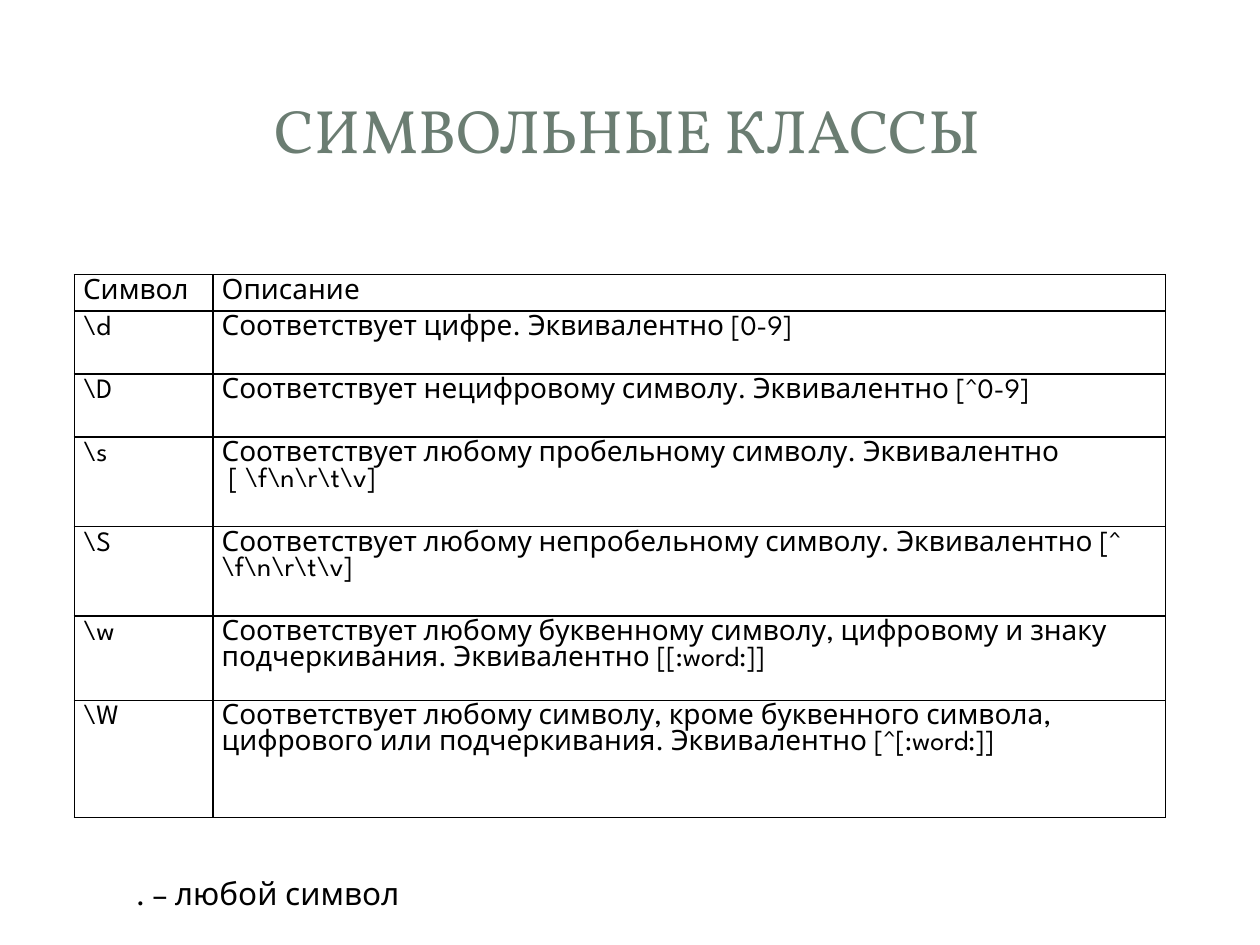
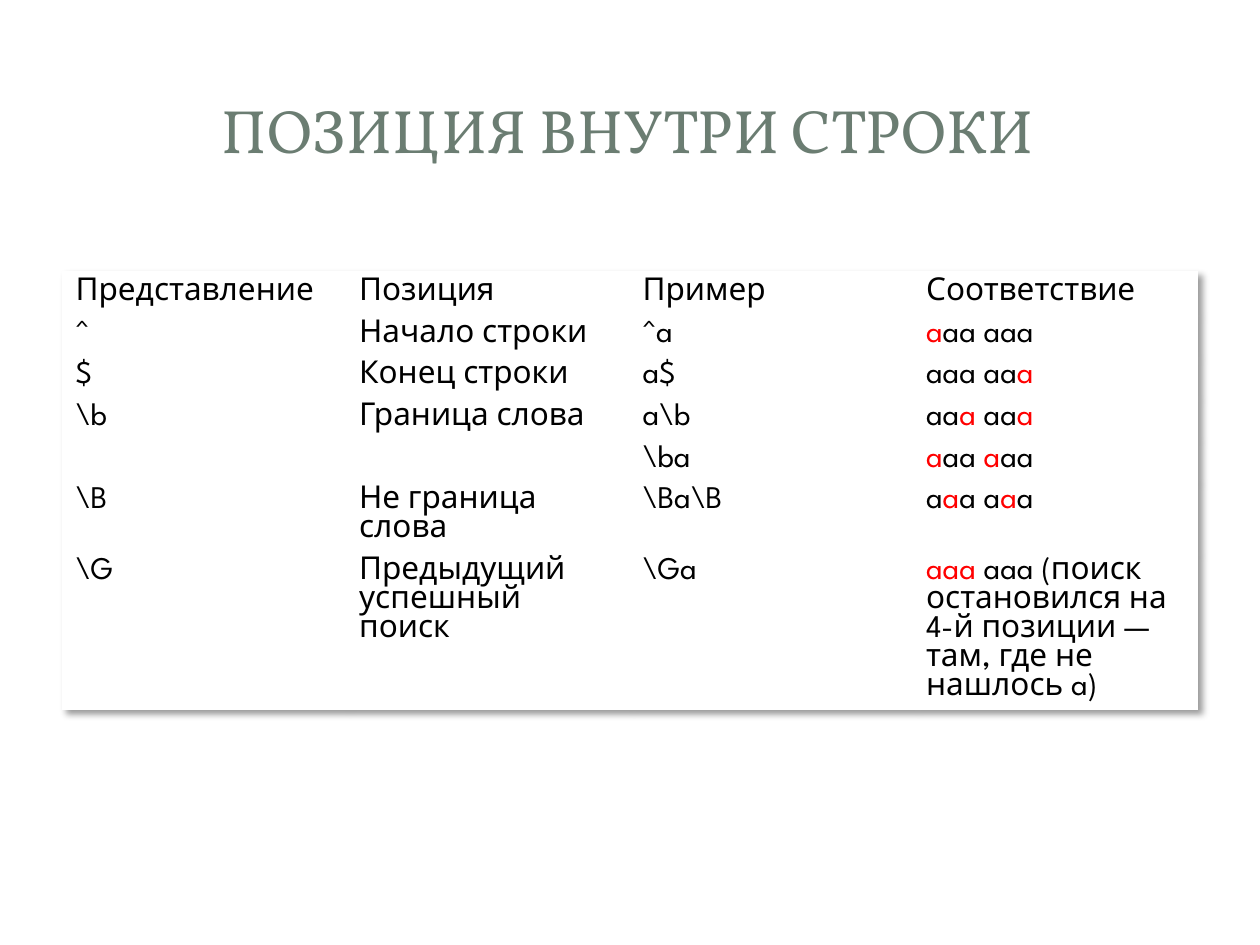
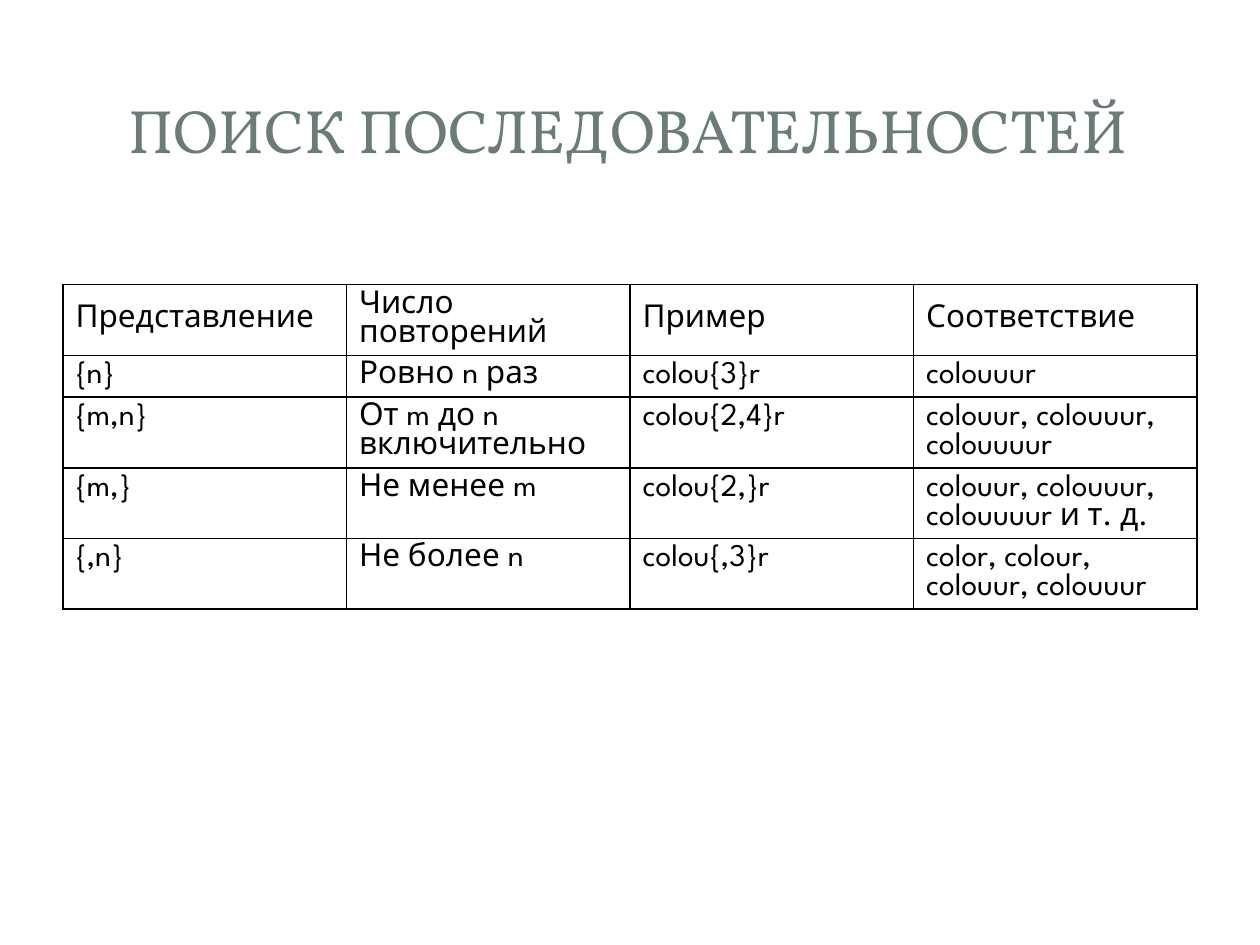
from dataclasses import dataclass
from typing import NamedTuple

from lxml.etree import SubElement
from pptx import Presentation
from pptx.dml.color import RGBColor
from pptx.enum.shapes import MSO_SHAPE
from pptx.enum.text import MSO_ANCHOR, PP_ALIGN
from pptx.oxml import parse_xml
from pptx.oxml.ns import nsdecls, qn
from pptx.util import Emu, Inches, Pt

UNIT = Inches(0.1)  # the slide is a grid of 100 columns by 75 rows
COLS, ROWS = 100, 75
WHITE, BLACK, RED, SAGE = "FFFFFF", "000000", "FF0000", "6B7D72"
HEAD, BODY = "Vollkorn", "League Spartan"


class Box(NamedTuple):
    col: float
    row: float
    wide: float
    high: float


class Band(NamedTuple):
    kind: MSO_SHAPE
    box: Box
    alpha: int = 100


@dataclass
class Grid:
    col: float
    row: float
    wides: list[float]
    highs: list[float]
    cells: list[list[str]]
    size: int = 18
    pad: tuple[float, float] = (1, 0.5)
    lined: bool = True
    shade: bool = False
    joins: tuple[tuple[int, int], ...] = ()  # cells joined with the one below


TITLE = Box(4.7, 4.5, 90.3, 11.4)
BANDS = [
    Band(MSO_SHAPE.ROUNDED_RECTANGLE, Box(1, 1.1, 98, 72.9)),
    Band(MSO_SHAPE.RECTANGLE, Box(3, 3, 94, 14.5), 83),
    Band(MSO_SHAPE.RECTANGLE, Box(4.1, 4.1, 91.7, 12.2)),
]


def span(units: float) -> Emu:
    return Emu(round(units * UNIT))


def paint(color, code: str) -> None:
    color.rgb = RGBColor.from_string(code)


def fill(item, code: str) -> None:
    item.fill.solid()
    paint(item.fill.fore_color, code)


def place(shape, box: Box) -> None:
    shape.left, shape.top, shape.width, shape.height = map(span, box)


def write(frame, text: str, size: int, font: str = BODY, code: str = BLACK,
          align: PP_ALIGN = PP_ALIGN.LEFT) -> None:
    """Each line is a paragraph; every second part between bars is red."""
    for num, line in enumerate(text.split("\n")):
        para = frame.add_paragraph() if num else frame.paragraphs[0]
        para.alignment = align
        for part, words in enumerate(line.split("|")):
            if words:
                run = para.add_run()
                run.text = words
                run.font.name, run.font.size = font, Pt(size)
                paint(run.font.color, RED if part % 2 else code)


def block(slide, kind: MSO_SHAPE, box: Box):
    shape = slide.shapes.add_shape(kind, *map(span, box))
    shape.shadow.inherit = False
    fill(shape, WHITE)
    shape.line.fill.background()
    return shape


def back(slide, layout) -> None:
    """Draw the shared bands and hand them over to the layout."""
    for num, band in enumerate(BANDS):
        shape = block(slide, band.kind, band.box)
        if band.kind == MSO_SHAPE.ROUNDED_RECTANGLE:
            shape.adjustments[0] = 0.02
        if band.alpha < 100:
            tint = shape.fill._xPr.find(".//" + qn("a:srgbClr"))
            SubElement(tint, qn("a:alpha"), val=str(band.alpha * 1000))
        layout.shapes._spTree.insert(2 + num, shape._element)


def edge(cell) -> None:
    props = cell._tc.get_or_add_tcPr()
    for num, side in enumerate("LRTB"):
        props.insert(num, parse_xml(
            f'<a:ln{side} {nsdecls("a")} w="{Pt(1)}"><a:solidFill>'
            f'<a:srgbClr val="{BLACK}"/></a:solidFill></a:ln{side}>'))


def cast(table) -> None:
    """Give the table a soft shadow."""
    table._tbl.tblPr.insert(0, parse_xml(
        f'<a:effectLst {nsdecls("a")}><a:outerShdw blurRad="{Pt(4)}" '
        f'dist="{Pt(3)}" dir="2700000" algn="tl" rotWithShape="0">'
        f'<a:srgbClr val="{BLACK}"><a:alpha val="40000"/></a:srgbClr>'
        '</a:outerShdw></a:effectLst>'))


def chart(slide, grid: Grid) -> None:
    """Draw a grid as a table."""
    box = Box(grid.col, grid.row, sum(grid.wides), sum(grid.highs))
    table = slide.shapes.add_table(
        len(grid.highs), len(grid.wides), *map(span, box)).table
    table.first_row = table.horz_banding = False
    for col, wide in zip(table.columns, grid.wides):
        col.width = span(wide)
    for row, high in zip(table.rows, grid.highs):
        row.height = span(high)
    for r, line in enumerate(grid.cells):
        for c, text in enumerate(line):
            cell = table.cell(r, c)
            cell.margin_left = cell.margin_right = span(grid.pad[0])
            cell.margin_top = cell.margin_bottom = span(grid.pad[1])
            cell.vertical_anchor = MSO_ANCHOR.TOP if r else MSO_ANCHOR.MIDDLE
            fill(cell, WHITE)
            if grid.lined:
                edge(cell)
            write(cell.text_frame, text, grid.size)
    for r, c in grid.joins:
        table.cell(r, c).merge(table.cell(r + 1, c))
    if grid.shade:
        cast(table)


def note(slide, text: str, box: Box) -> None:
    frame = block(slide, MSO_SHAPE.RECTANGLE, box).text_frame
    frame.word_wrap = True
    frame.vertical_anchor = MSO_ANCHOR.TOP
    frame.margin_top = span(1.2)
    write(frame, text, 18)


def page(deck, title: str, grid: Grid):
    slide = deck.slides.add_slide(deck.slide_layouts[5])
    head = slide.shapes.title
    place(head, TITLE)
    head.text_frame.vertical_anchor = MSO_ANCHOR.MIDDLE
    write(head.text_frame, title, 35, HEAD, SAGE, PP_ALIGN.CENTER)
    chart(slide, grid)
    return slide


def lines(*counts: int) -> list[float]:
    """Row heights that hold the given counts of text lines."""
    return [1 + 2.3 * count for count in counts]


CLASSES = Grid(
    5.9, 21.8, [11, 75.6], [2.9, 5, 5, 7.1, 7.1, 6.7, 9.3],
    [
        ["Символ", "Описание"],
        [r"\d", "Соответствует цифре. Эквивалентно [0-9]"],
        [r"\D", "Соответствует нецифровому символу. Эквивалентно [^0-9]"],
        [r"\s", "Соответствует любому пробельному символу. Эквивалентно\n"
                r" [ \f\n\r\t\v]"],
        [r"\S", "Соответствует любому непробельному символу. "
                r"Эквивалентно [^ \f\n\r\t\v]"],
        [r"\w", "Соответствует любому буквенному символу, цифровому и знаку "
                "подчеркивания. Эквивалентно [[:word:]]"],
        [r"\W", "Соответствует любому символу, кроме буквенного символа, "
                "цифрового или подчеркивания. Эквивалентно [^[:word:]]"],
    ],
    size=16, pad=(0.7, 0.4))

PLACES = Grid(
    5, 21.6, [22.5] * 4, lines(1, 1, 1, 1, 1, 2, 5),
    [
        ["Представление", "Позиция", "Пример", "Соответствие"],
        ["^", "Начало строки", "^a", "|a|aa aaa"],
        ["$", "Конец строки", "a$", "aaa aa|a"],
        [r"\b", "Граница слова", r"a\b", "aa|a |aa|a"],
        ["", "", r"\ba", "|a|aa |a|aa"],
        [r"\B", "Не граница слова", r"\Ba\B", "a|a|a a|a|a"],
        [r"\G", "Предыдущий успешный поиск", r"\Ga",
         "|aaa| aaa (поиск остановился на 4-й позиции — там, "
         "где не нашлось a)"],
    ],
    lined=False, shade=True, joins=((3, 0), (3, 1)))

COUNTS = Grid(
    5, 22.6, [22.5] * 4, lines(2, 1, 2, 2, 2),
    [
        ["Представление", "Число повторений", "Пример", "Соответствие"],
        ["{n}", "Ровно n раз", "colou{3}r", "colouuur"],
        ["{m,n}", "От m до n включительно", "colou{2,4}r",
         "colouur, colouuur, colouuuur"],
        ["{m,}", "Не менее m", "colou{2,}r",
         "colouur, colouuur, colouuuur и т. д."],
        ["{,n}", "Не более n", "colou{,3}r",
         "color, colour, colouur, colouuur"],
    ])


def main() -> None:
    deck = Presentation()
    deck.slide_width, deck.slide_height = span(COLS), span(ROWS)
    first = page(deck, "СИМВОЛЬНЫЕ КЛАССЫ", CLASSES)
    back(first, deck.slide_layouts[5])
    note(first, ". – любой символ", Box(9.8, 68.2, 80.3, 4))
    page(deck, "ПОЗИЦИЯ ВНУТРИ СТРОКИ", PLACES)
    page(deck, "ПОИСК ПОСЛЕДОВАТЕЛЬНОСТЕЙ", COUNTS)
    deck.save("out.pptx")


if __name__ == "__main__":
    main()
